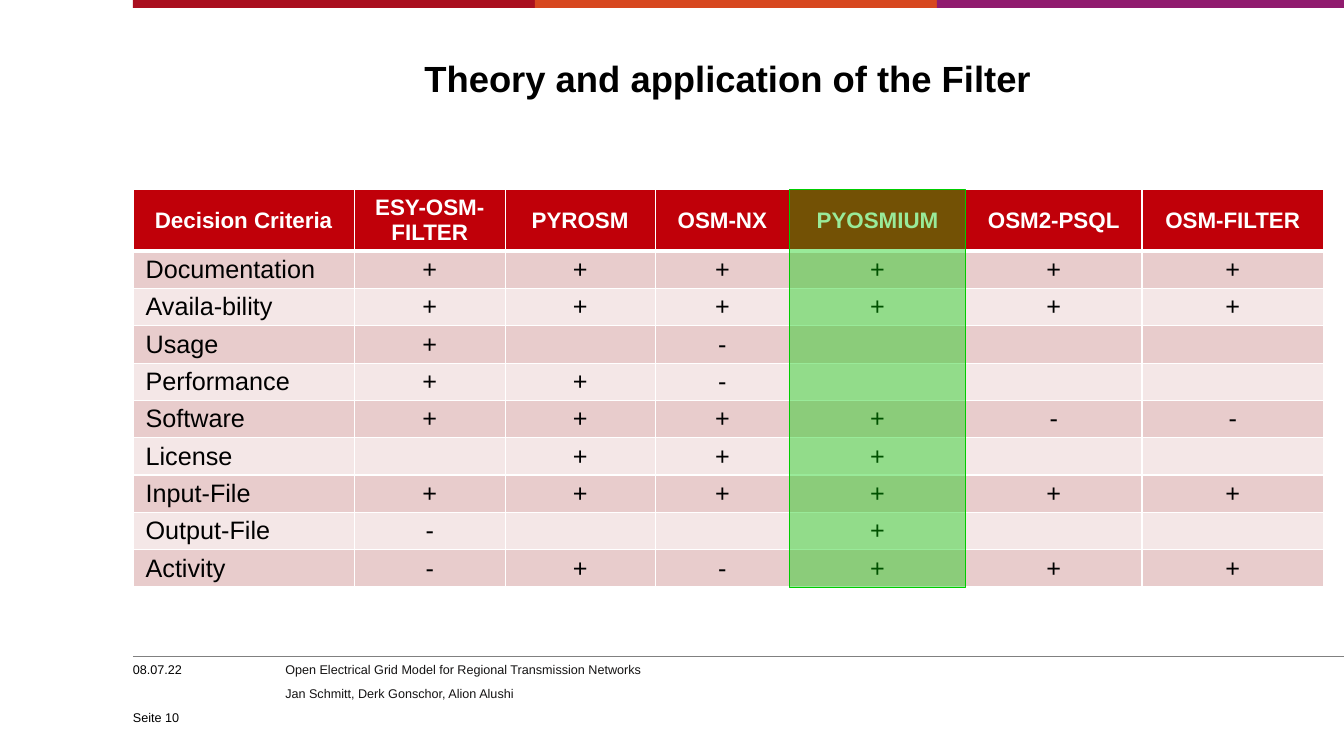
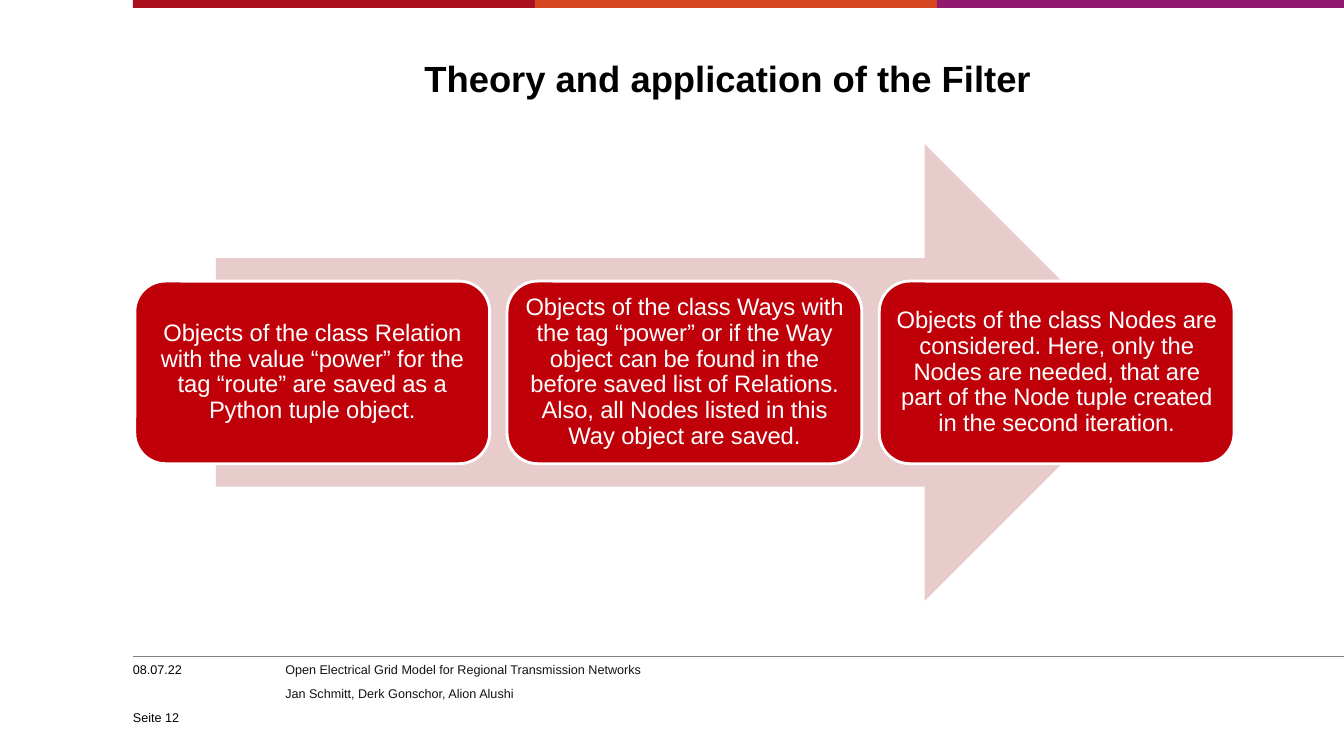
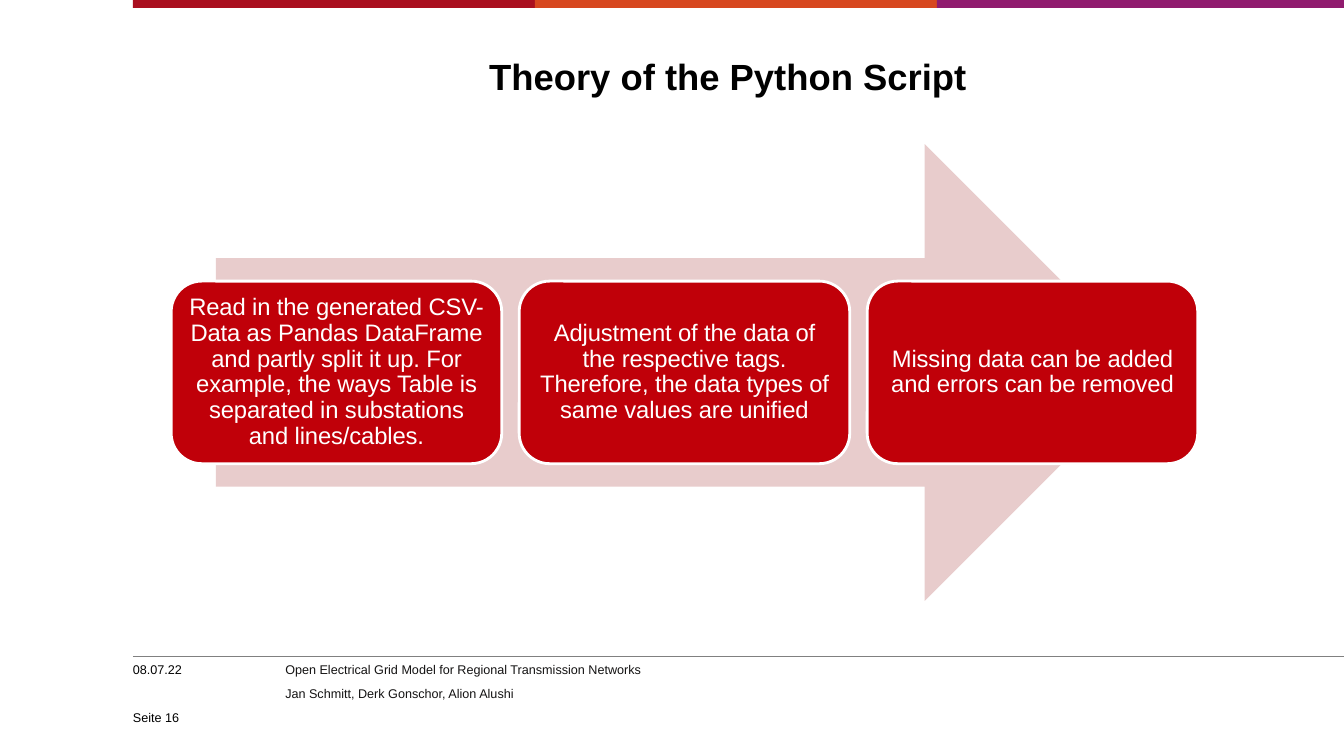
from lxml import etree
from pptx import Presentation
from pptx.dml.color import RGBColor
from pptx.enum.shapes import MSO_CONNECTOR, MSO_SHAPE
from pptx.enum.text import MSO_ANCHOR as Anchor, PP_ALIGN as Align
from pptx.oxml import parse_xml
from pptx.oxml.ns import nsdecls, qn
from pptx.util import Cm, Pt

FONT = "Arial"
BLACK = RGBColor(0x00, 0x00, 0x00)
WHITE = RGBColor(0xFF, 0xFF, 0xFF)
GRAY = RGBColor(0x80, 0x80, 0x80)
INK = RGBColor(0x14, 0x13, 0x13)
RED = RGBColor(0xC0, 0x00, 0x09)
ROSE = RGBColor(0xE8, 0xCC, 0xCC)
PALE_ROSE = RGBColor(0xF4, 0xE7, 0xE7)
GREEN = RGBColor(0x00, 0xCC, 0x00)
BANDS = [RGBColor(0xAA, 0x0F, 0x1F), RGBColor(0xD7, 0x47, 0x1F), RGBColor(0x90, 0x1B, 0x6E)]

# All lengths in cm
SLIDE_W, SLIDE_H = 33.87, 19.05
LEFT = 3.35
BAND_W, BAND_H = 10.13, 0.2
FOOTER_TOP = 16.69

DATE = "08.07.22"
FOOTER = ["Open Electrical Grid Model for Regional Transmission Networks",
          "Jan Schmitt, Derk Gonschor, Alion Alushi"]

HEADER = ["Decision Criteria", "ESY-OSM-FILTER", "PYROSM", "OSM-NX",
          "PYOSMIUM", "OSM2-PSQL", "OSM-FILTER"]
RATINGS = [
    ("Documentation", "+", "+", "+", "+", "+", "+"),
    ("Availa-bility", "+", "+", "+", "+", "+", "+"),
    ("Usage", "+", "", "-", "", "", ""),
    ("Performance", "+", "+", "-", "", "", ""),
    ("Software", "+", "+", "+", "+", "-", "-"),
    ("License", "", "+", "+", "+", "", ""),
    ("Input-File", "+", "+", "+", "+", "+", "+"),
    ("Output-File", "-", "", "", "+", "", ""),
    ("Activity", "-", "+", "-", "+", "+", "+"),
]
CHOSEN = HEADER.index("PYOSMIUM")
TABLE_TOP = 4.78
COL_WIDTHS = [5.58, 3.8, 3.78, 3.39, 4.43, 4.45, 4.57]
HEADER_H, ROW_H = 1.55, 0.94

FILTER_STEPS = [
    "Objects of the class Relation with the value “power” for the tag “route” "
    "are saved as a Python tuple object.",
    "Objects of the class Ways with the tag “power” or if the Way object can be found "
    "in the before saved list of Relations. Also, all Nodes listed in this Way object are saved.",
    "Objects of the class Nodes are considered. Here, only the Nodes are needed, "
    "that are part of the Node tuple created in the second iteration.",
]
SCRIPT_STEPS = [
    "Read in the generated CSV-Data as Pandas DataFrame and partly split it up. "
    "For example, the ways Table is separated in substations and lines/cables.",
    "Adjustment of the data of the respective tags. Therefore, the data types "
    "of same values are unified",
    "Missing data can be added and errors can be removed",
]
ARROW = (5.44, 3.63, 23.62, 11.51)
STEP_H, STEP_GAP = 4.6, 0.44


def write_text(holder, *lines, size=18, color=BLACK, bold=False, align=Align.LEFT,
               anchor=Anchor.TOP, margins=(0, 0), spacing=None, after=0, tracking=0):
    """Fill a text frame or table cell; margins are (horizontal, vertical) in cm."""
    holder.margin_left = holder.margin_right = Cm(margins[0])
    holder.margin_top = holder.margin_bottom = Cm(margins[1])
    holder.vertical_anchor = anchor
    tf = getattr(holder, "text_frame", holder)
    for i, line in enumerate(lines):
        p = tf.add_paragraph() if i else tf.paragraphs[0]
        p.alignment = align
        p.space_after = Pt(after)
        if spacing:
            p.line_spacing = spacing
        if not line:
            continue
        r = p.add_run()
        r.text = line
        r.font.name, r.font.size, r.font.bold = FONT, Pt(size), bold
        r.font.color.rgb = color
        if tracking:
            r.font._element.set("spc", str(tracking))


def add_text(s, box, *lines, wrap=True, **fmt):
    tf = s.shapes.add_textbox(*map(Cm, box)).text_frame
    tf.word_wrap = wrap
    write_text(tf, *lines, **fmt)


def add_box(s, kind, box, fill, line=None, line_w=0.5):
    sp = s.shapes.add_shape(kind, *map(Cm, box))
    sp.shadow.inherit = False
    sp.fill.solid()
    sp.fill.fore_color.rgb = fill
    if line is None:
        sp.line.fill.background()
    else:
        sp.line.color.rgb = line
        sp.line.width = Pt(line_w)
    return sp


def add_slide(prs, title, number, title_top=1.45):
    """Add a slide with bands, title and footer."""
    s = prs.slides.add_slide(prs.slide_layouts[6])
    for i, color in enumerate(BANDS):
        x = LEFT + i * BAND_W
        w = SLIDE_W - x if i == len(BANDS) - 1 else BAND_W
        add_box(s, MSO_SHAPE.RECTANGLE, (x, 0, w, BAND_H), color)
    rule = s.shapes.add_connector(MSO_CONNECTOR.STRAIGHT, Cm(LEFT), Cm(16.54),
                                  Cm(SLIDE_W), Cm(16.54))
    rule.line.color.rgb = GRAY
    rule.line.width = Pt(0.5)
    etree.SubElement(rule._element.spPr, qn("a:effectLst"))
    add_text(s, (LEFT, title_top, 30, 1.98), title, size=26, bold=True,
             align=Align.CENTER, spacing=Pt(30))
    add_text(s, (7.19, FOOTER_TOP, 14.6, 1.52), *FOOTER, size=9, color=INK, after=6, wrap=False)
    add_text(s, (LEFT, FOOTER_TOP, 3.6, 0.5), DATE, size=9, wrap=False)
    add_text(s, (LEFT, 17.68, 3.6, 0.58), f"Seite {number}", size=9, anchor=Anchor.BOTTOM)
    return s


def add_borders(cell, bottom=1):
    tc_pr = cell._tc.get_or_add_tcPr()
    for side, width in zip("LRTB", (1, 1, 1, bottom)):
        tc_pr.append(parse_xml(
            f'<a:ln{side} {nsdecls("a")} w="{Pt(width)}"><a:solidFill>'
            f'<a:srgbClr val="{WHITE}"/></a:solidFill></a:ln{side}>'))


def add_ratings(s):
    rows = [HEADER, *RATINGS]
    height = HEADER_H + ROW_H * len(RATINGS)
    box = (LEFT, TABLE_TOP, sum(COL_WIDTHS), height)
    table = s.shapes.add_table(len(rows), len(HEADER), *map(Cm, box)).table
    for col, width in zip(table.columns, COL_WIDTHS):
        col.width = Cm(width)
    for i, row in enumerate(rows):
        head = i == 0
        table.rows[i].height = Cm(HEADER_H if head else ROW_H)
        fill = RED if head else ROSE if i % 2 else PALE_ROSE
        for j, text in enumerate(row):
            cell = table.cell(i, j)
            add_borders(cell, bottom=3 if head else 1)
            cell.fill.solid()
            cell.fill.fore_color.rgb = fill
            write_text(cell, text, size=16 if head else 18, color=WHITE if head else BLACK,
                       bold=head, anchor=Anchor.MIDDLE, margins=(0.32, 0),
                       align=Align.CENTER if head or j else Align.JUSTIFY)

    x = LEFT + sum(COL_WIDTHS[:CHOSEN])
    highlight = add_box(s, MSO_SHAPE.RECTANGLE, (x, TABLE_TOP, COL_WIDTHS[CHOSEN], height),
                        GREEN, line=GREEN)
    color = highlight._element.spPr.find(qn("a:solidFill"))[0]
    etree.SubElement(color, qn("a:alpha")).set("val", "40000")


def add_process(s, steps, step_w):
    """Place equal step boxes centred on a broad arrow."""
    add_box(s, MSO_SHAPE.RIGHT_ARROW, ARROW, ROSE)
    x, y, w, h = ARROW
    total = len(steps) * step_w + (len(steps) - 1) * STEP_GAP
    left, top = x + (w - total) / 2, y + (h - STEP_H) / 2
    for i, text in enumerate(steps):
        box = (left + i * (step_w + STEP_GAP), top, step_w, STEP_H)
        sp = add_box(s, MSO_SHAPE.ROUNDED_RECTANGLE, box, RED, line=WHITE, line_w=2)
        write_text(sp.text_frame, text, size=17, color=WHITE, align=Align.CENTER,
                   anchor=Anchor.MIDDLE, margins=(0.17, 0.17), spacing=0.9, tracking=-10)


def main():
    prs = Presentation()
    prs.slide_width, prs.slide_height = Cm(SLIDE_W), Cm(SLIDE_H)
    add_ratings(add_slide(prs, "Theory and application of the Filter", 10))
    add_process(add_slide(prs, "Theory and application of the Filter", 12), FILTER_STEPS, 8.94)
    add_process(add_slide(prs, "Theory of the Python Script", 16, title_top=1.4),
                SCRIPT_STEPS, 8.33)
    prs.save("out.pptx")


if __name__ == "__main__":
    main()
